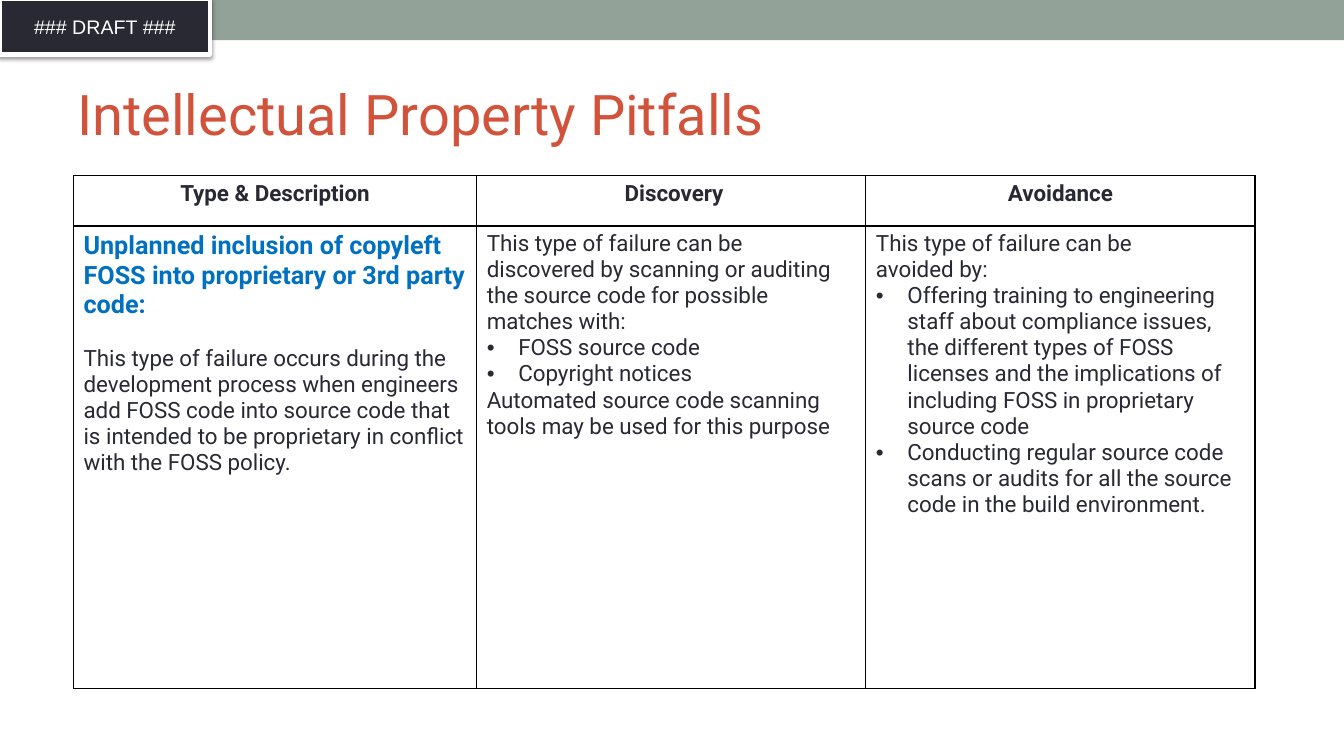
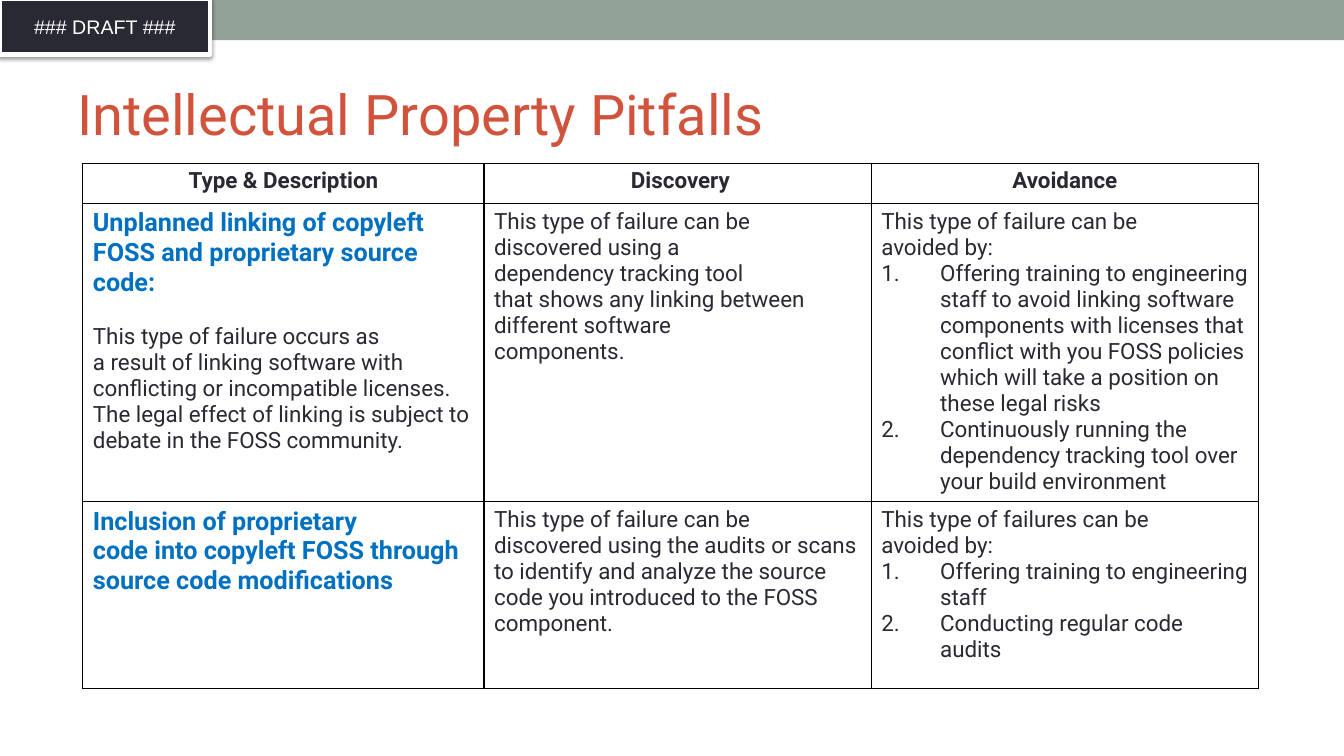
from dataclasses import dataclass
from enum import Enum, auto

from lxml import etree
from pptx import Presentation
from pptx.dml.color import RGBColor
from pptx.enum.shapes import MSO_SHAPE
from pptx.enum.text import MSO_ANCHOR, MSO_AUTO_SIZE, PP_ALIGN
from pptx.oxml.ns import qn
from pptx.util import Pt

RECTANGLE = MSO_SHAPE.RECTANGLE
MIDDLE = MSO_ANCHOR.MIDDLE
NO_AUTOFIT = MSO_AUTO_SIZE.NONE
LEFT, CENTER = PP_ALIGN.LEFT, PP_ALIGN.CENTER

SLIDE_WIDTH, SLIDE_HEIGHT = 960, 540
TITLE_ONLY_LAYOUT = 5


@dataclass(frozen=True)
class Theme:
    band: str = "93A299"
    dark: str = "292934"
    light: str = "FFFFFF"
    title: str = "D2533C"
    heading: str = "0070C0"
    border: str = "000000"
    font: str = "Roboto"
    badge_font: str = "Arial"
    title_size: float = 40
    heading_size: float = 18
    body_size: float = 16
    badge_size: float = 14
    paragraph_gap: float = 18.75
    bullet_indent: float = 22.5
    number_indent: float = 42


THEME = Theme()


class Kind(Enum):
    HEADER = auto()
    HEADING = auto()
    BODY = auto()
    SPACED_BODY = auto()
    BULLET = auto()
    NUMBER = auto()


@dataclass(frozen=True)
class Line:
    text: str
    kind: Kind = Kind.BODY


@dataclass(frozen=True)
class PitfallTable:
    left: float
    top: float
    column_widths: tuple[float, ...]
    row_heights: tuple[float, ...]
    rows: list[list[list[Line]]]


TITLE = "Intellectual Property Pitfalls"
HEADER_ROW = [[Line(text, Kind.HEADER)] for text in ("Type & Description", " Discovery", "Avoidance")]

PITFALL_TABLES = [
    PitfallTable(
        52.5, 125.5, (288, 278, 278), (36, 330.5),
        [[
            [
                Line("Unplanned inclusion of copyleft FOSS into proprietary or 3rd party code:", Kind.HEADING),
                Line("This type of failure occurs during the development process when engineers add "
                     "FOSS code into source code that is intended to be proprietary in conflict with "
                     "the FOSS policy.", Kind.SPACED_BODY),
            ],
            [
                Line("This type of failure can be"),
                Line("discovered by scanning or auditing the source code for possible"),
                Line("matches with:"),
                Line("FOSS source code", Kind.BULLET),
                Line("Copyright notices", Kind.BULLET),
                Line("Automated source code scanning tools may be used for this purpose"),
            ],
            [
                Line("This type of failure can be"),
                Line("avoided by:"),
                Line("Offering training to engineering staff about compliance issues, the different "
                     "types of FOSS licenses and the implications of including FOSS in proprietary "
                     "source code", Kind.BULLET),
                Line("Conducting regular source code scans or audits for all the source code in the "
                     "build environment.", Kind.BULLET),
            ],
        ]],
    ),
    PitfallTable(
        59.2, 116.6, (286.6, 276.6, 276.6), (28.8, 213, 133.2),
        [
            [
                [
                    Line("Unplanned linking of copyleft FOSS and proprietary source code:", Kind.HEADING),
                    Line("This type of failure occurs as", Kind.SPACED_BODY),
                    Line("a result of linking software with conflicting or incompatible licenses. The "
                         "legal effect of linking is subject to debate in the FOSS community."),
                ],
                [
                    Line("This type of failure can be"),
                    Line("discovered using a"),
                    Line("dependency tracking tool"),
                    Line("that shows any linking between"),
                    Line("different software"),
                    Line("components."),
                ],
                [
                    Line("This type of failure can be"),
                    Line("avoided by:"),
                    Line("Offering training to engineering staff to avoid linking software components "
                         "with licenses that conflict with you FOSS policies which will take a position "
                         "on these legal risks", Kind.NUMBER),
                    Line("Continuously running the dependency tracking tool over your build environment",
                         Kind.NUMBER),
                ],
            ],
            [
                [
                    Line("Inclusion of proprietary", Kind.HEADING),
                    Line("code into copyleft FOSS through", Kind.HEADING),
                    Line("source code modifications", Kind.HEADING),
                ],
                [
                    Line("This type of failure can be"),
                    Line("discovered using the audits or scans to identify and analyze the source code "
                         "you introduced to the FOSS component."),
                ],
                [
                    Line("This type of failures can be"),
                    Line("avoided by:"),
                    Line("Offering training to engineering staff", Kind.NUMBER),
                    Line("Conducting regular code audits", Kind.NUMBER),
                ],
            ],
        ],
    ),
]


def add_child(parent, tag: str, **attributes: str):
    return etree.SubElement(parent, qn(tag), attributes)


def add_solid_fill(parent, color: str):
    return add_child(add_child(parent, "a:solidFill"), "a:srgbClr", val=color)


def format_runs(paragraph, font: str, size: float, color: str, bold: bool = False) -> None:
    for run in paragraph.runs:
        run.font.name = font
        run.font.size = Pt(size)
        run.font.bold = bold
        run.font.color.rgb = RGBColor.from_string(color)


def add_rectangle(slide, left: float, top: float, width: float, height: float, fill: str):
    shape = slide.shapes.add_shape(RECTANGLE, Pt(left), Pt(top), Pt(width), Pt(height))
    shape.shadow.inherit = False
    shape.fill.solid()
    shape.fill.fore_color.rgb = RGBColor.from_string(fill)
    shape.line.fill.background()
    return shape


def add_badge_shadow(badge) -> None:
    effects = badge.element.spPr.find(qn("a:effectLst"))
    shadow = add_child(effects, "a:outerShdw", blurRad=str(Pt(3.1)), dist=str(Pt(1.6)),
                       dir="5400000", rotWithShape="0")
    color = add_child(shadow, "a:srgbClr", val="000000")
    add_child(color, "a:alpha", val="38000")


def move_to_layout(shapes: list, layout) -> None:
    """Place shapes behind the layout's placeholders, keeping their order."""
    for index, shape in enumerate(shapes, start=2):
        layout.shapes.element.insert(index, shape.element)


def set_up_layout(slide, layout) -> None:
    """Give the layout its band, badge and title position, drawn by way of a slide."""
    band = add_rectangle(slide, 0, 0, SLIDE_WIDTH, 28.8, THEME.band)
    badge = add_rectangle(slide, 0, -0.7, 149.8, 39.6, THEME.dark)
    badge.line.color.rgb = RGBColor.from_string(THEME.light)
    badge.line.width = Pt(3)
    add_badge_shadow(badge)
    frame = badge.text_frame
    frame.text = "### DRAFT ###"
    frame.vertical_anchor = MIDDLE
    frame.paragraphs[0].alignment = CENTER
    format_runs(frame.paragraphs[0], THEME.badge_font, THEME.badge_size, THEME.light)
    move_to_layout([band, badge], layout)

    title = layout.placeholders[0]
    title.left, title.top, title.width, title.height = Pt(48), Pt(42), Pt(864), Pt(78)


def add_title(slide, text: str) -> None:
    frame = slide.shapes.title.text_frame
    frame.text = text
    frame.vertical_anchor = MIDDLE
    frame.auto_size = NO_AUTOFIT
    paragraph = frame.paragraphs[0]
    paragraph.alignment = LEFT
    format_runs(paragraph, THEME.font, THEME.title_size, THEME.title)


def add_list_marker(paragraph, kind: Kind) -> None:
    indent = THEME.bullet_indent if kind is Kind.BULLET else THEME.number_indent
    properties = paragraph._p.get_or_add_pPr()
    properties.set("marL", str(Pt(indent)))
    properties.set("indent", str(-Pt(indent)))
    add_child(add_child(properties, "a:buClr"), "a:srgbClr", val=THEME.dark)
    if kind is Kind.BULLET:
        add_child(properties, "a:buFont", typeface="Arial")
        add_child(properties, "a:buChar", char="•")
    else:
        add_child(properties, "a:buFont", typeface=THEME.font)
        add_child(properties, "a:buAutoNum", type="arabicPeriod")


def format_line(paragraph, kind: Kind) -> None:
    is_heading = kind is Kind.HEADING
    format_runs(
        paragraph,
        THEME.font,
        THEME.heading_size if is_heading else THEME.body_size,
        THEME.heading if is_heading else THEME.dark,
        bold=kind in (Kind.HEADER, Kind.HEADING),
    )
    paragraph.alignment = CENTER if kind is Kind.HEADER else LEFT
    if kind is Kind.SPACED_BODY:
        paragraph.space_before = Pt(THEME.paragraph_gap)
    if kind in (Kind.BULLET, Kind.NUMBER):
        add_list_marker(paragraph, kind)


def fill_cell(cell, lines: list[Line]) -> None:
    properties = cell._tc.get_or_add_tcPr()
    for side in ("a:lnL", "a:lnR", "a:lnT", "a:lnB"):
        add_solid_fill(add_child(properties, side, w=str(Pt(1))), THEME.border)
    cell.fill.background()
    frame = cell.text_frame
    frame.text = "\n".join(line.text for line in lines)
    for paragraph, line in zip(frame.paragraphs, lines):
        format_line(paragraph, line.kind)


def add_pitfall_table(slide, content: PitfallTable) -> None:
    widths, heights = content.column_widths, content.row_heights
    table = slide.shapes.add_table(
        len(heights), len(widths), Pt(content.left), Pt(content.top), Pt(sum(widths)), Pt(sum(heights))
    ).table
    table.first_row = table.horz_banding = False
    for column, width in zip(table.columns, widths):
        column.width = Pt(width)
    for row, height, cells in zip(table.rows, heights, [HEADER_ROW, *content.rows]):
        row.height = Pt(height)
        for cell, lines in zip(row.cells, cells):
            fill_cell(cell, lines)


def main() -> None:
    presentation = Presentation()
    presentation.slide_width, presentation.slide_height = Pt(SLIDE_WIDTH), Pt(SLIDE_HEIGHT)
    layout = presentation.slide_layouts[TITLE_ONLY_LAYOUT]
    slides = [presentation.slides.add_slide(layout) for _ in PITFALL_TABLES]
    set_up_layout(slides[0], layout)
    for slide, content in zip(slides, PITFALL_TABLES):
        add_title(slide, TITLE)
        add_pitfall_table(slide, content)
    presentation.save("out.pptx")


if __name__ == "__main__":
    main()
